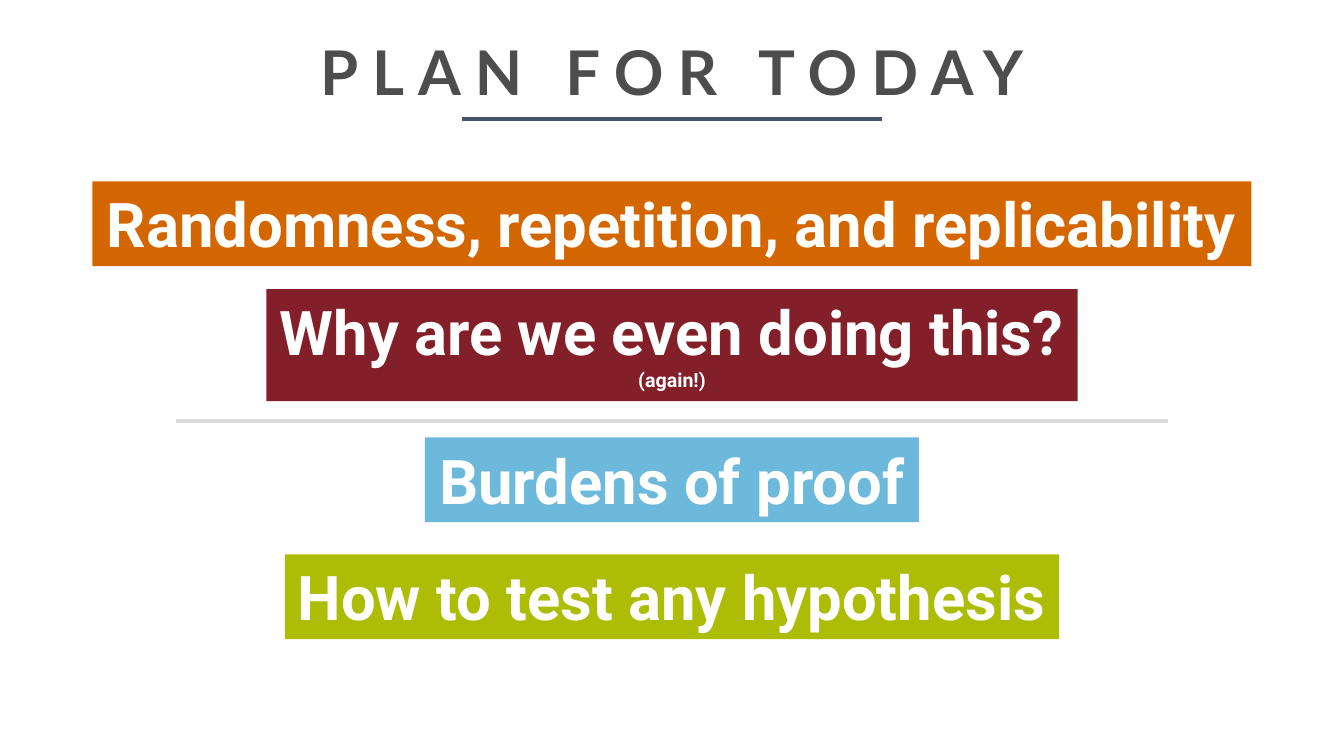
import pptx
import pptx.util
import pptx.dml.color
import pptx.enum.shapes
import pptx.enum.text
from lxml import etree

Pt = pptx.util.Pt

# Content
TITLE = "PLAN FOR TODAY"
# (runs as text and size name, fill name, top, width, height)
TOPICS = [
    ([("Randomness, repetition, and replicability", "topic")],
     "orange", 129.6, 828, 60.5),
    ([("Why are we even doing this? ", "topic"), ("(again!)", "aside")],
     "maroon", 206.6, 579.6, 79.9),
    ([("Burdens of proof", "topic")], "blue", 312.5, 352.8, 60.5),
    ([("How to test any hypothesis", "topic")], "green", 396, 553, 60.5),
]
# (colour name, height on the slide, length)
RULES = [("navy", 85, 300), ("grey", 301, 708)]

THEME = {
    "title_font": "Lato",
    "topic_font": "Roboto",
    "sizes": {"title": 44, "topic": 44, "aside": 14},
    "title_spacing": 10,
    "rule_weight": 3,
    "colors": {
        "ink": "4D4D4D", "white": "FFFFFF", "navy": "44546A", "grey": "DBDBDB",
        "orange": "D46600", "maroon": "821F29", "blue": "6CB9DC", "green": "ADBD06",
    },
}
SLIDE_W, SLIDE_H = 960, 540


def color(name):
    return pptx.dml.color.RGBColor.from_string(THEME["colors"][name])


def centered_left(width):
    return Pt((SLIDE_W - width) / 2)


def add_run(p, text, font, size, ink):
    r = p.add_run()
    r.text = text
    r.font.name = font
    r.font.size = Pt(THEME["sizes"][size])
    r.font.bold = True
    r.font.color.rgb = color(ink)
    return r


def add_title(s):
    tf = s.shapes.add_textbox(centered_left(828), Pt(12.2), Pt(828), Pt(72)).text_frame
    tf.word_wrap = True
    tf.vertical_anchor = pptx.enum.text.MSO_ANCHOR.MIDDLE
    p = tf.paragraphs[0]
    p.alignment = pptx.enum.text.PP_ALIGN.CENTER
    p.line_spacing = 1.1
    r = add_run(p, TITLE, THEME["title_font"], "title", "ink")
    r.font._element.set("spc", str(THEME["title_spacing"] * 100))


def add_topic(s, runs, fill, top, width, height):
    sp = s.shapes.add_shape(pptx.enum.shapes.MSO_SHAPE.RECTANGLE,
                            centered_left(width), Pt(top), Pt(width), Pt(height))
    sp.shadow.inherit = False
    sp.fill.solid()
    sp.fill.fore_color.rgb = color(fill)
    sp.line.fill.background()
    tf = sp.text_frame
    tf.word_wrap = True
    tf.auto_size = pptx.enum.text.MSO_AUTO_SIZE.SHAPE_TO_FIT_TEXT
    tf.vertical_anchor = pptx.enum.text.MSO_ANCHOR.TOP
    p = tf.paragraphs[0]
    p.alignment = pptx.enum.text.PP_ALIGN.CENTER
    for text, size in runs:
        add_run(p, text, THEME["topic_font"], size, "white")


def add_rule(s, ink, y, length):
    left = centered_left(length)
    rule = s.shapes.add_connector(pptx.enum.shapes.MSO_CONNECTOR.STRAIGHT,
                                  left, Pt(y), left + Pt(length), Pt(y))
    rule.line.color.rgb = color(ink)
    rule.line.width = Pt(THEME["rule_weight"])
    etree.SubElement(rule._element.spPr, pptx.oxml.ns.qn("a:effectLst"))


def main():
    prs = pptx.Presentation()
    prs.slide_width, prs.slide_height = Pt(SLIDE_W), Pt(SLIDE_H)
    s = prs.slides.add_slide(prs.slide_layouts[6])
    add_title(s)
    for topic in TOPICS:
        add_topic(s, *topic)
    for rule in RULES:
        add_rule(s, *rule)
    prs.save("out.pptx")


if __name__ == "__main__":
    main()
